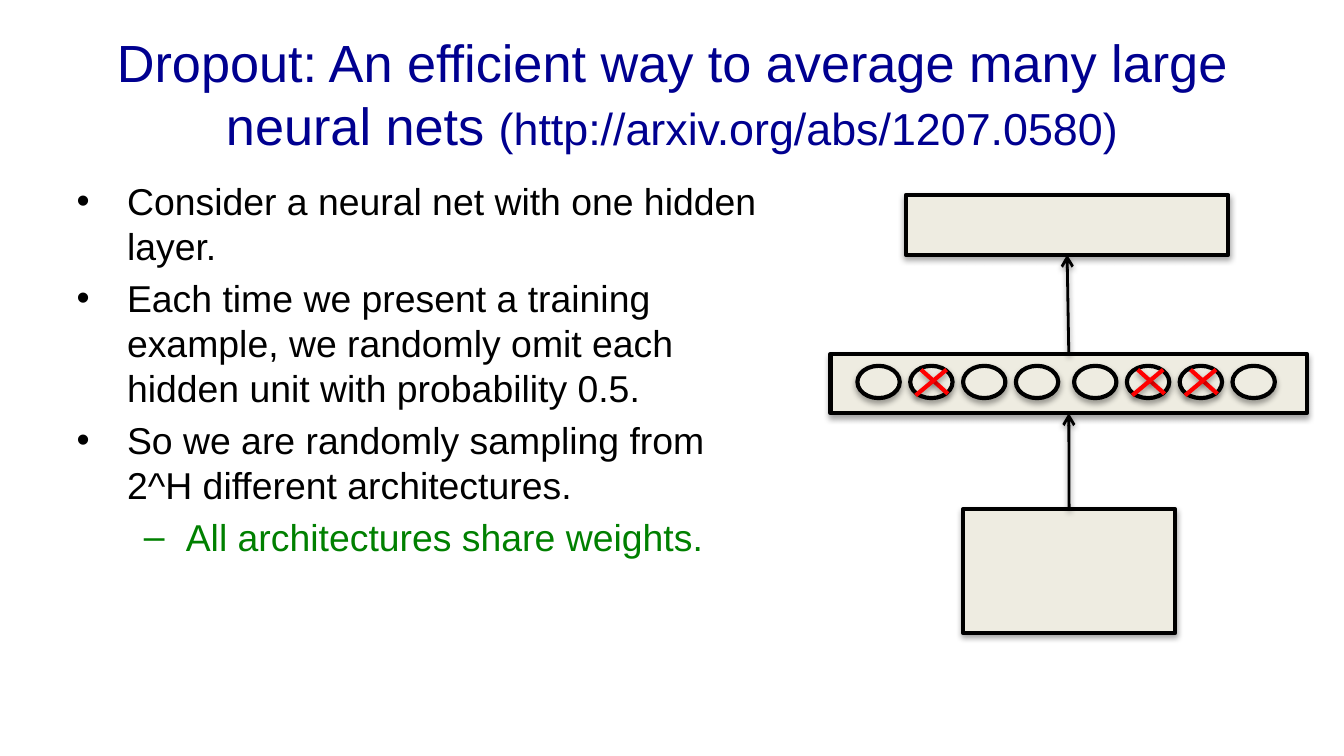
from lxml import etree
from pptx import Presentation
from pptx.dml.color import RGBColor
from pptx.enum.shapes import MSO_CONNECTOR, MSO_SHAPE
from pptx.enum.text import MSO_ANCHOR, MSO_AUTO_SIZE, PP_ALIGN
from pptx.oxml import parse_xml
from pptx.oxml.ns import nsdecls, qn
from pptx.util import Inches, Pt

RECT, OVAL = MSO_SHAPE.RECTANGLE, MSO_SHAPE.OVAL
LINE = MSO_CONNECTOR.STRAIGHT
TOP, BOTTOM = 0, 2
BLACK, RED, CREAM = "000000", "FF0000", "EEECE1"
NAVY, GREEN = "000090", "008000"

deck = Presentation()
deck.slide_width, deck.slide_height = Inches(10), Inches(10 * 9 / 16)
slide = deck.slides.add_slide(deck.slide_layouts[1])
shapes = slide.shapes

# All lengths are hundredths of the slide's width and height.
COL, ROW = deck.slide_width / 100, deck.slide_height / 100


def grid(x, y, *size):
    """Turn grid columns and rows into slide lengths."""
    units = (COL, ROW, COL, ROW)
    return [round(n * unit) for n, unit in zip((x, y, *size), units)]


def finish(item, color, width, alpha):
    """Set the line and the soft shadow below it."""
    item.line.color.rgb = RGBColor.from_string(color)
    item.line.width = Pt(width)
    props = item._element.spPr
    for old in props.findall(qn("a:effectLst")):
        props.remove(old)
    props.append(parse_xml(
        f'<a:effectLst {nsdecls("a")}><a:outerShdw blurRad="{Pt(3.1)}" '
        f'dist="{Pt(1.7)}" dir="5400000" rotWithShape="0">'
        f'<a:srgbClr val="{BLACK}"><a:alpha val="{alpha}000"/></a:srgbClr>'
        '</a:outerShdw></a:effectLst>'))


# Title and list
title, body = shapes.title, slide.placeholders[1]
for holder, place in ((title, (5, 4, 90, 16.7)),
                      (body, (4.7, 22.7, 52.9, 66))):
    holder.left, holder.top, holder.width, holder.height = grid(*place)
    holder.text_frame.auto_size = MSO_AUTO_SIZE.NONE
    holder.text_frame.word_wrap = True

title.text_frame.vertical_anchor = MSO_ANCHOR.MIDDLE
head = title.text_frame.paragraphs[0]
head.alignment = PP_ALIGN.CENTER
head.line_spacing = Pt(33.6)
head.font.name = "Arial"
head.font.color.rgb = RGBColor.from_string(NAVY)
for text, size in (
        ("Dropout: An efficient way to average many large neural nets ", 28),
        ("(http://arxiv.org/abs/1207.0580)", 24)):
    run = head.add_run()
    run.text = text
    run.font.size = Pt(size)

points = [
    (0, BLACK, "Consider a neural net with one hidden layer."),
    (0, BLACK, "Each time we present a training example, we randomly omit "
               "each hidden unit with probability 0.5."),
    (0, BLACK, "So we are randomly sampling from 2^H different "
               "architectures."),
    (1, GREEN, "All architectures share weights."),
]
frame = body.text_frame
for i, (level, color, text) in enumerate(points):
    para = frame.add_paragraph() if i else frame.paragraphs[0]
    para.text = text
    para.level = level
    para.line_spacing = Pt(24)
    para.space_before = Pt(4 if i else 0)
    para.font.name = "Arial"
    para.font.size = Pt(20)
    para.font.color.rgb = RGBColor.from_string(color)

# Layers, then the hidden units with a wider gap in the middle
units = [63.8 + 3.93 * i + (0.4 if i > 3 else 0) for i in range(8)]
parts = [
    (RECT, 71.65, 67.38, 15.8, 16.36),
    (RECT, 61.8, 46.8, 35.45, 7.85),
    (RECT, 67.4, 25.8, 24, 7.9),
] + [(OVAL, x, 48.4, 3.15, 4.27) for x in units]
drawn = []
for kind, *place in parts:
    part = shapes.add_shape(kind, *grid(*place))
    part.fill.solid()
    part.fill.fore_color.rgb = RGBColor.from_string(CREAM)
    finish(part, BLACK, 2.25, 35)
    drawn.append(part)

# Arrows between layers
layers = drawn[:3]
for low, high in zip(layers, layers[1:]):
    arrow = shapes.add_connector(LINE, 0, 0, 0, 0)
    arrow.begin_connect(low, TOP)
    arrow.end_connect(high, BOTTOM)
    finish(arrow, BLACK, 1.5, 38)
    etree.SubElement(arrow.line._get_or_add_ln(), qn("a:tailEnd"),
                     type="arrow")

# Crosses on the omitted units
for i in (1, 5, 6):
    for x1, y1, x2, y2 in ((0.8, 48.9, 2.8, 52.1), (0.4, 52.3, 2.7, 48.9)):
        stroke = shapes.add_connector(
            LINE, *grid(units[i] + x1, y1, units[i] + x2, y2))
        finish(stroke, RED, 2.25, 38)

deck.save("out.pptx")
